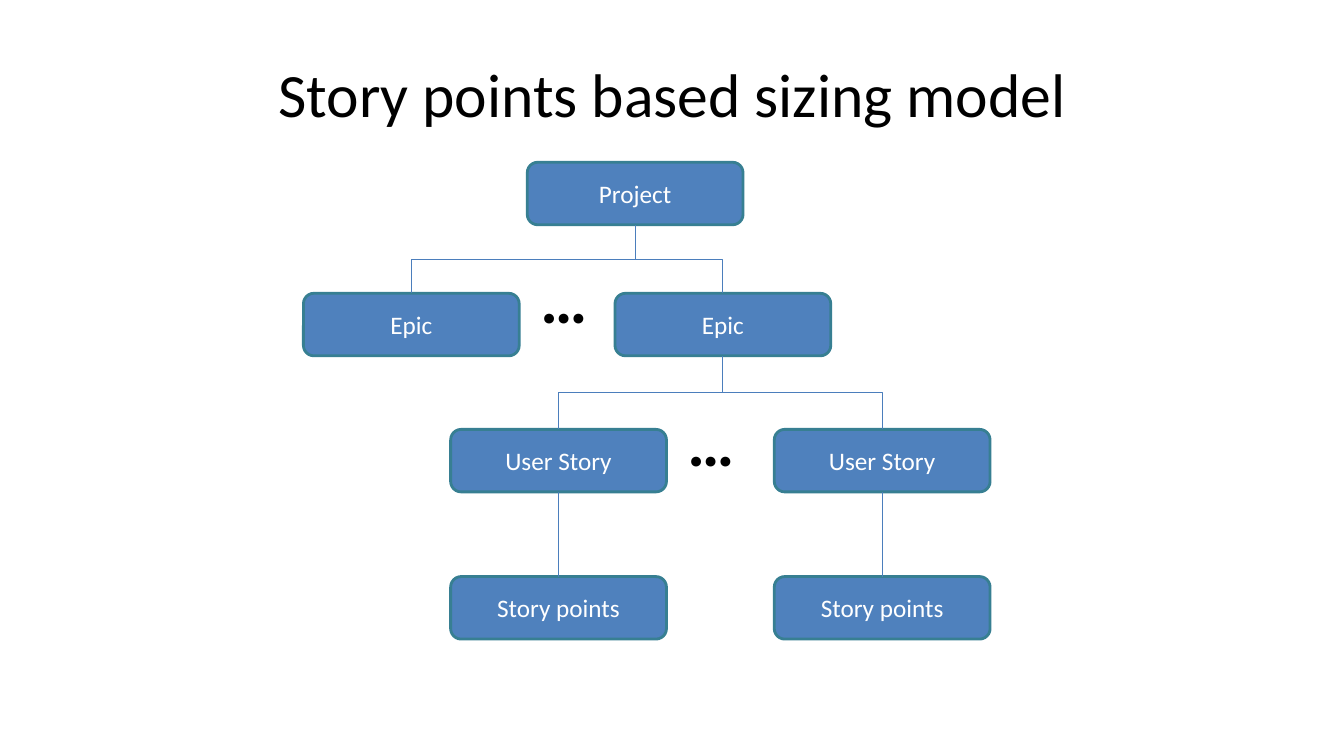
from lxml import etree
from pptx import Presentation
from pptx import util as u
from pptx.dml import color
from pptx.enum import shapes, text
from pptx.oxml import ns

COLORS = {"node": "4F81BD", "border": "377F92", "link": "4B7EBC",
          "light": "FFFFFF", "dark": "000000"}
NODE_WIDTH, NODE_HEIGHT = 2.14, 0.62
NODES = {
    "project": ("Project", 5.23, 1.61),
    "first epic": ("Epic", 3.01, 2.91),
    "last epic": ("Epic", 6.1, 2.91),
    "first story": ("User Story", 4.47, 4.26),
    "last story": ("User Story", 7.68, 4.26),
    "first points": ("Story points", 4.47, 5.72),
    "last points": ("Story points", 7.68, 5.72),
}
LINKS = [("project", "first epic"), ("project", "last epic"),
         ("last epic", "first story"), ("last epic", "last story"),
         ("first story", "first points"), ("last story", "last points")]
ELLIPSES = [(5.26, 2.51), (6.72, 3.92)]


def rgb(name):
    """Return the named palette colour."""
    return color.RGBColor.from_string(COLORS[name])


def write(frame, content, size, ink, align=text.PP_ALIGN.CENTER, bold=False):
    """Put one formatted paragraph into a text frame."""
    para = frame.paragraphs[0]
    para.alignment = align
    span = para.add_run()
    span.text = content
    span.font.name = "Calibri"
    span.font.size = u.Pt(size)
    span.font.bold = bold
    span.font.color.rgb = rgb(ink)


def add_title(page, content, left, top, width, height):
    """Place and fill the title placeholder."""
    title = page.shapes.title
    title.left, title.top = u.Inches(left), u.Inches(top)
    title.width, title.height = u.Inches(width), u.Inches(height)
    title.text_frame.vertical_anchor = text.MSO_ANCHOR.MIDDLE
    write(title.text_frame, content, 44, "dark")


def add_node(page, label, left, top):
    """Draw one rounded box of the hierarchy."""
    box = page.shapes.add_shape(
        shapes.MSO_SHAPE.ROUNDED_RECTANGLE, u.Inches(left), u.Inches(top),
        u.Inches(NODE_WIDTH), u.Inches(NODE_HEIGHT))
    box.shadow.inherit = False
    box.fill.solid()
    box.fill.fore_color.rgb = rgb("node")
    box.line.color.rgb = rgb("border")
    box.line.width = u.Pt(2)
    frame = box.text_frame
    frame.margin_left = frame.margin_right = u.Inches(0.07)
    frame.margin_top = frame.margin_bottom = u.Inches(0.04)
    frame.vertical_anchor = text.MSO_ANCHOR.MIDDLE
    write(frame, label, 18, "light")
    return box


def add_link(page, parent, child):
    """Join a parent's bottom to a child's top, bending when they are offset."""
    shift = child.left - parent.left
    kind = shapes.MSO_CONNECTOR.ELBOW if shift else shapes.MSO_CONNECTOR.STRAIGHT
    link = page.shapes.add_connector(kind, 0, 0, 0, 0)
    link.begin_connect(parent, 2)
    link.end_connect(child, 0)
    link.line.color.rgb = rgb("link")
    link.line.width = u.Pt(0.75)
    properties = link._element.spPr
    etree.SubElement(properties, ns.qn("a:effectLst"))
    if shift:
        turn_elbow(link, properties.find(ns.qn("a:xfrm")), shift > 0)


def turn_elbow(link, transform, rightward):
    """Rotate an elbow so that it leaves and arrives vertically."""
    span, drop = link.width, link.height
    link.left += (span - drop) // 2
    link.top += (drop - span) // 2
    link.width, link.height = drop, span
    transform.set("rot", str((270 if rightward else 90) * 60000))
    transform.set("flipH", "1" if rightward else "0")


def add_ellipsis(page, left, top):
    """Show that more siblings stand between two boxes."""
    box = page.shapes.add_textbox(
        u.Inches(left), u.Inches(top), u.Inches(0.79), u.Inches(0.89))
    box.text_frame.word_wrap = True
    write(box.text_frame, "…", 47.1, "dark", text.PP_ALIGN.LEFT, bold=True)


def add_hierarchy(page):
    """Draw the boxes, their links and the ellipses."""
    boxes = {name: add_node(page, *node) for name, node in NODES.items()}
    for parent, child in LINKS:
        add_link(page, boxes[parent], boxes[child])
    for left, top in ELLIPSES:
        add_ellipsis(page, left, top)


def main():
    """Build and save the deck."""
    deck = Presentation()
    deck.slide_width, deck.slide_height = u.Inches(13.33), u.Inches(7.5)
    page = deck.slides.add_slide(deck.slide_layouts[5])
    add_title(page, "Story points based sizing model", 0.67, 0.3, 12, 1.25)
    add_hierarchy(page)
    deck.save("out.pptx")


if __name__ == "__main__":
    main()
